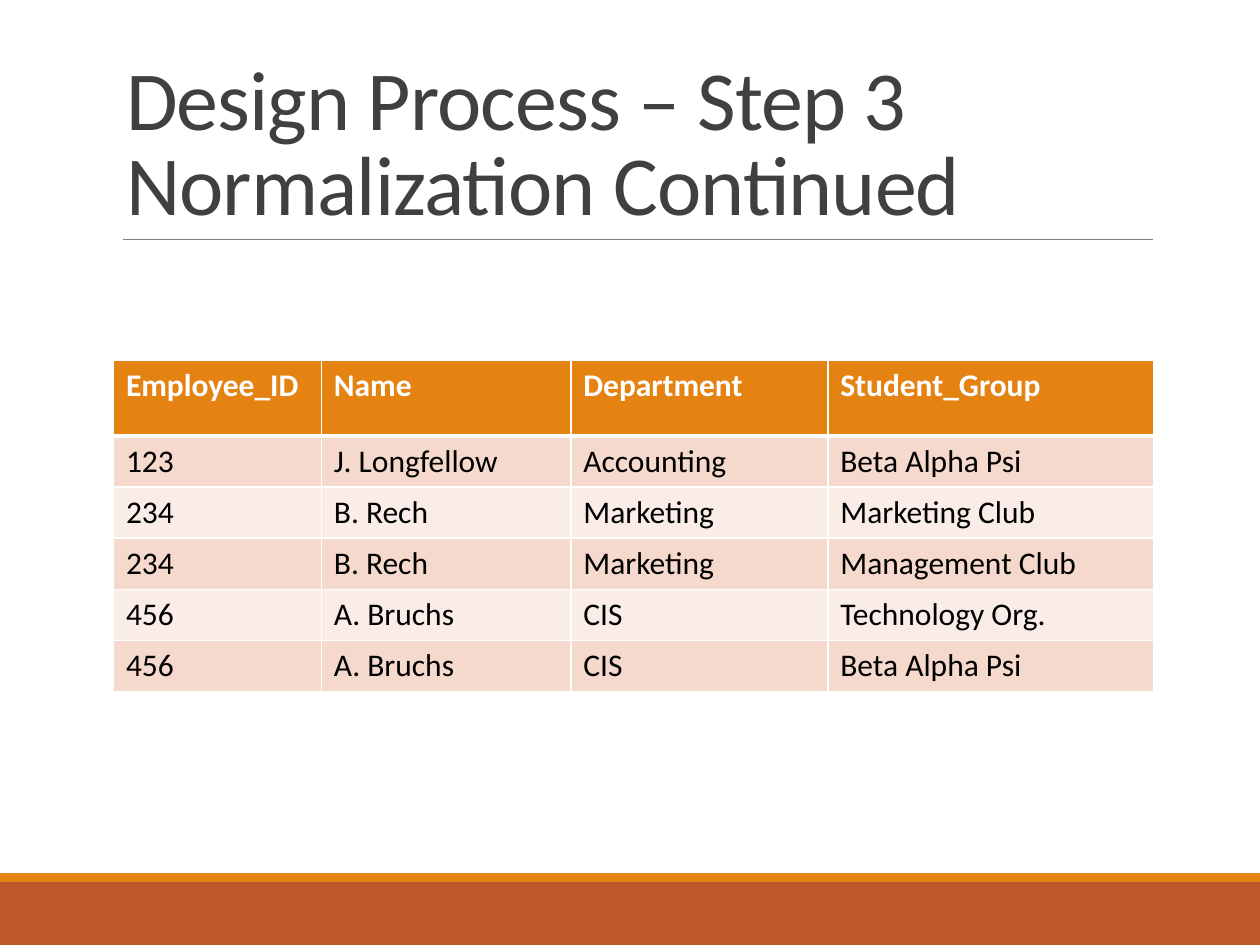
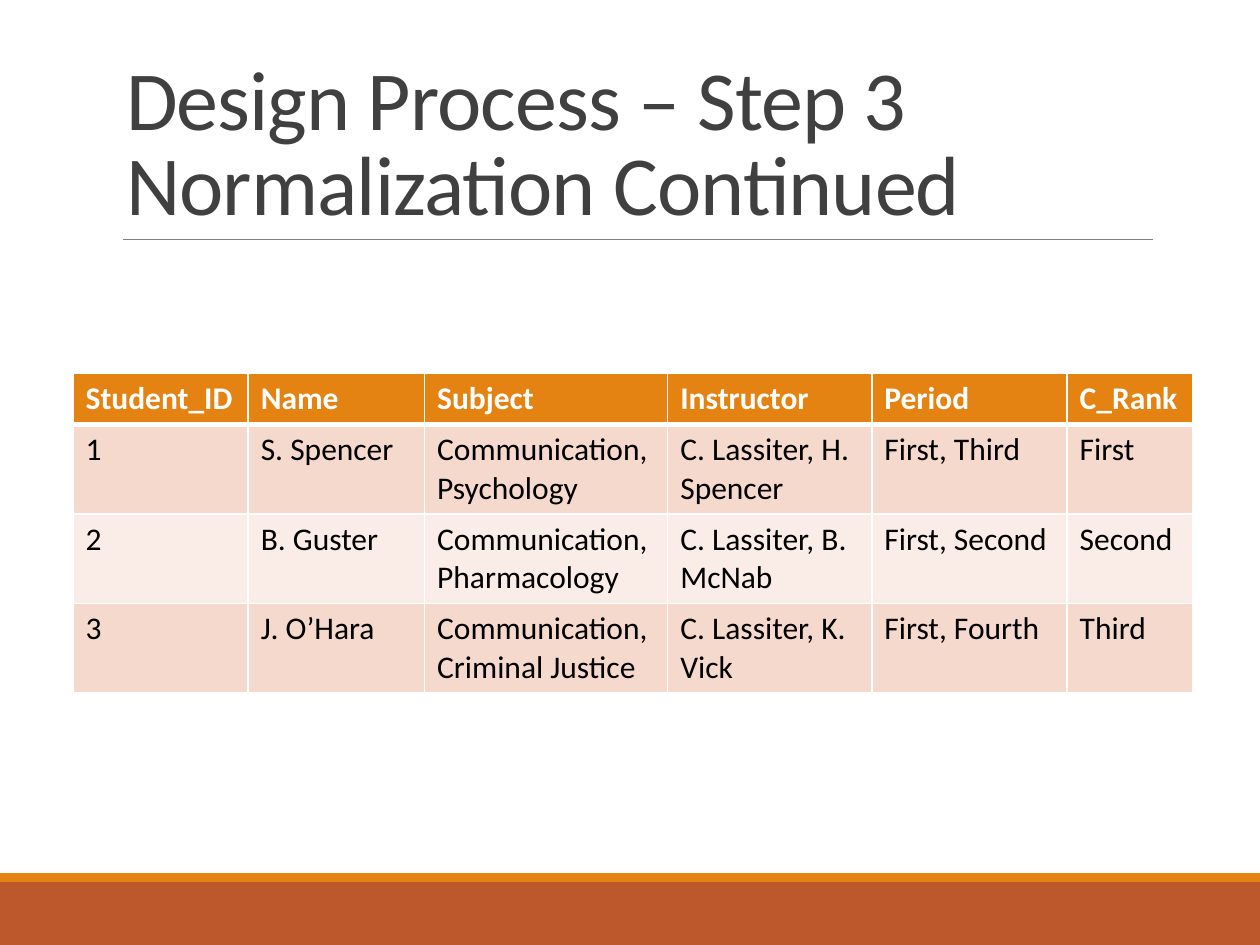
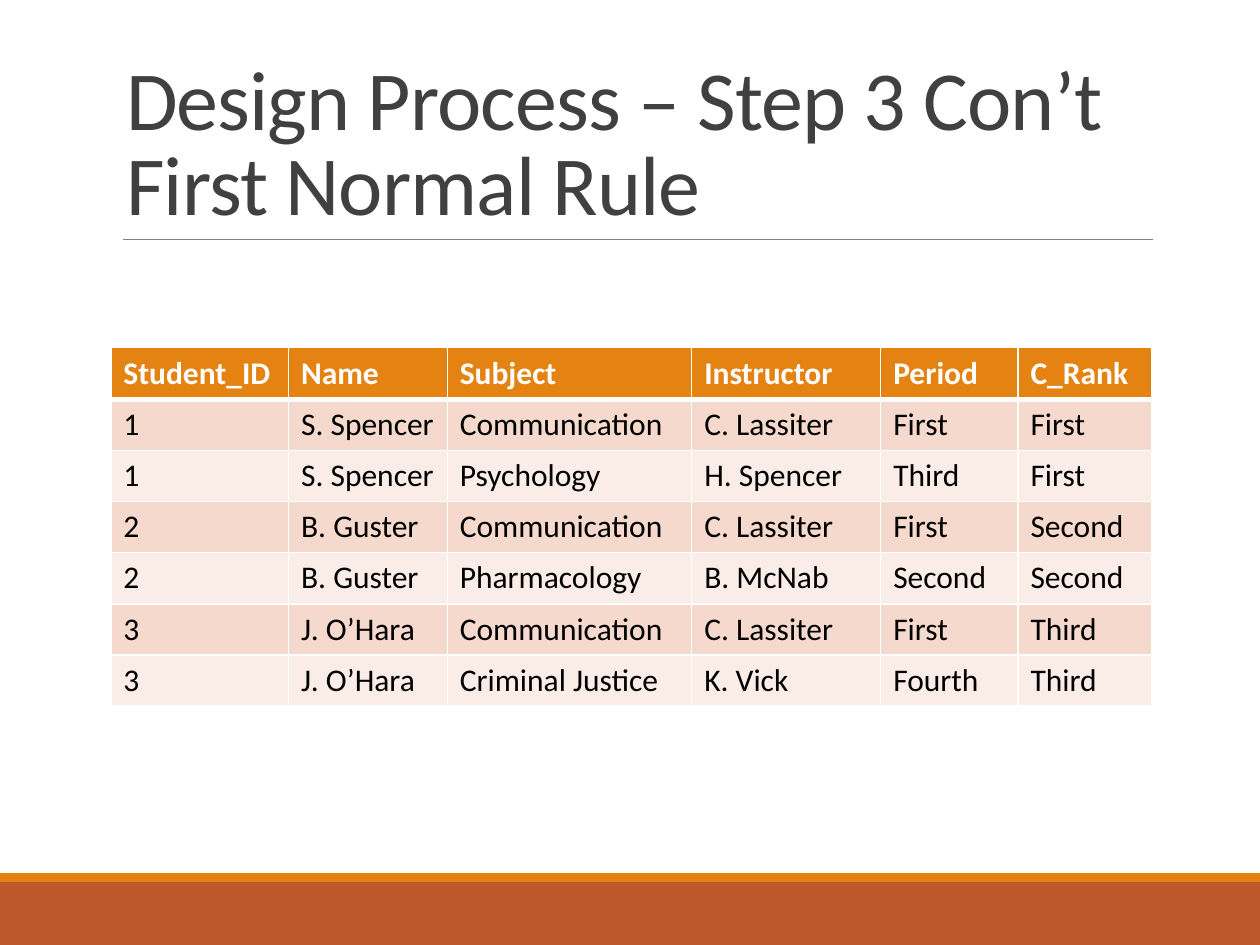
import dataclasses

import pptx
import pptx.dml.color
import pptx.enum.shapes
import pptx.enum.text
import pptx.oxml.ns
import pptx.presentation
import pptx.shapes.autoshape
import pptx.slide
import pptx.table
import pptx.text.text
import pptx.util
from lxml import etree

# The page is a grid of square cells, 100 columns by 75 rows.
COLUMNS, ROWS = 100, 75
CELL = pptx.util.Inches(0.1)
TITLE_ONLY = 5


@dataclasses.dataclass(frozen=True)
class Theme:
    font: str = "Calibri"
    title_size: float = 48
    title_spacing: float = -0.5
    title_leading: float = 0.85
    table_size: float = 18
    title: str = "404040"
    text: str = "000000"
    paper: str = "FFFFFF"
    rule: str = "808080"
    accent: str = "E48312"
    footer: str = "BD582C"
    stripes: tuple[str, str] = ("F5D9CC", "FAEDE7")
    rule_width: float = 0.5
    border: float = 1
    header_border: float = 3


@dataclasses.dataclass(frozen=True)
class Area:
    """A rectangle in grid cells."""
    left: float
    top: float
    width: float
    height: float

    def lengths(self) -> tuple[int, int, int, int]:
        return cells(self.left), cells(self.top), cells(self.width), cells(self.height)


@dataclasses.dataclass(frozen=True)
class Band:
    area: Area
    color: str


@dataclasses.dataclass(frozen=True)
class TablePage:
    title: str
    area: Area
    header_height: float
    widths: tuple[float, ...]
    records: tuple[tuple[str, ...], ...]


THEME = Theme()
TITLE_AREA = Area(9, 3.1, 82.5, 15.9)
RULE_LEFT, RULE_RIGHT, RULE_TOP = 9.8, 91.5, 19
BANDS = (
    Band(Area(0, 70, COLUMNS, 5), THEME.footer),
    Band(Area(0, 69.3, COLUMNS, 0.7), THEME.accent),
)
STUDENT_HEADER = ("Student_ID", "Name", "Subject", "Instructor", "Period", "C_Rank")

PAGES = (
    TablePage(
        "Design Process – Step 3 Normalization Continued",
        Area(9, 28.6, 82.5, 26.3), 6, (16.5, 19.8, 20.4, 25.9),
        (
            ("Employee_ID", "Name", "Department", "Student_Group"),
            ("123", "J. Longfellow", "Accounting", "Beta Alpha Psi"),
            ("234", "B. Rech", "Marketing", "Marketing Club"),
            ("234", "B. Rech", "Marketing", "Management Club"),
            ("456", "A. Bruchs", "CIS", "Technology Org."),
            ("456", "A. Bruchs", "CIS", "Beta Alpha Psi"),
        ),
    ),
    TablePage(
        "Design Process – Step 3 Normalization Continued",
        Area(5.8, 29.6, 88.8, 25.1), 4.1, (13.9, 14, 19.3, 16.2, 15.5, 10),
        (
            STUDENT_HEADER,
            ("1", "S. Spencer", "Communication, Psychology",
             "C. Lassiter, H. Spencer", "First, Third", "First"),
            ("2", "B. Guster", "Communication, Pharmacology",
             "C. Lassiter, B. McNab", "First, Second", "Second"),
            ("3", "J. O’Hara", "Communication, Criminal Justice",
             "C. Lassiter, K. Vick", "First, Fourth", "Third"),
        ),
    ),
    TablePage(
        "Design Process – Step 3 Con’t First Normal Rule",
        Area(8.8, 27.6, 82.5, 28.4), 4.1, (14.1, 12.6, 19.4, 15, 10.9, 10.6),
        (
            STUDENT_HEADER,
            ("1", "S. Spencer", "Communication", "C. Lassiter", "First", "First"),
            ("1", "S. Spencer", "Psychology", "H. Spencer", "Third", "First"),
            ("2", "B. Guster", "Communication", "C. Lassiter", "First", "Second"),
            ("2", "B. Guster", "Pharmacology", "B. McNab", "Second", "Second"),
            ("3", "J. O’Hara", "Communication", "C. Lassiter", "First", "Third"),
            ("3", "J. O’Hara", "Criminal Justice", "K. Vick", "Fourth", "Third"),
        ),
    ),
)


def cells(count: float) -> int:
    """Turn a number of grid cells into a length."""
    return round(count * CELL)


def rgb(color: str) -> pptx.dml.color.RGBColor:
    return pptx.dml.color.RGBColor.from_string(color)


def add_span(para: pptx.text.text._Paragraph, text: str, size: float,
             color: str, bold: bool = False) -> pptx.text.text._Run:
    span = para.add_run()
    span.text = text
    span.font.name = THEME.font
    span.font.size = pptx.util.Pt(size)
    span.font.bold = bold
    span.font.color.rgb = rgb(color)
    return span


def add_bands(page: pptx.slide.Slide) -> None:
    for band in BANDS:
        box = page.shapes.add_shape(
            pptx.enum.shapes.MSO_SHAPE.RECTANGLE, *band.area.lengths())
        box.shadow.inherit = False
        box.fill.solid()
        box.fill.fore_color.rgb = rgb(band.color)
        box.line.fill.background()


def add_title_rule(page: pptx.slide.Slide) -> None:
    rule = page.shapes.add_connector(
        pptx.enum.shapes.MSO_CONNECTOR.STRAIGHT,
        cells(RULE_LEFT), cells(RULE_TOP), cells(RULE_RIGHT), cells(RULE_TOP))
    rule.line.color.rgb = rgb(THEME.rule)
    rule.line.width = pptx.util.Pt(THEME.rule_width)
    etree.SubElement(rule._element.spPr, pptx.oxml.ns.qn("a:effectLst"))


def set_title(page: pptx.slide.Slide, text: str) -> None:
    box = page.shapes.title
    box.left, box.top, box.width, box.height = TITLE_AREA.lengths()
    frame = box.text_frame
    frame.word_wrap = True
    frame.auto_size = pptx.enum.text.MSO_AUTO_SIZE.NONE
    frame.vertical_anchor = pptx.enum.text.MSO_ANCHOR.BOTTOM
    para = frame.paragraphs[0]
    para.alignment = pptx.enum.text.PP_ALIGN.LEFT
    para.line_spacing = THEME.title_leading
    span = add_span(para, text, THEME.title_size, THEME.title)
    span.font._element.set("spc", str(round(THEME.title_spacing * 100)))


def set_borders(cell: pptx.table._Cell, top: float, bottom: float) -> None:
    properties = cell._tc.get_or_add_tcPr()
    widths = {"lnL": THEME.border, "lnR": THEME.border, "lnT": top, "lnB": bottom}
    for side, width in widths.items():
        line = etree.SubElement(properties, pptx.oxml.ns.qn(f"a:{side}"),
                                w=str(pptx.util.Pt(width)))
        fill = etree.SubElement(line, pptx.oxml.ns.qn("a:solidFill"))
        etree.SubElement(fill, pptx.oxml.ns.qn("a:srgbClr"), val=THEME.paper)


def fill_cell(cell: pptx.table._Cell, text: str, row: int) -> None:
    header = row == 0
    # The fill must follow the borders in the cell's properties.
    set_borders(cell,
                top=THEME.header_border if row == 1 else THEME.border,
                bottom=THEME.header_border if header else THEME.border)
    cell.fill.solid()
    cell.fill.fore_color.rgb = rgb(THEME.accent if header else THEME.stripes[(row - 1) % 2])
    add_span(cell.text_frame.paragraphs[0], text, THEME.table_size,
             THEME.paper if header else THEME.text, bold=header)


def add_records(page: pptx.slide.Slide, content: TablePage) -> None:
    """Draw the table; the body rows share the height below the header."""
    records = content.records
    table = page.shapes.add_table(
        len(records), len(content.widths), *content.area.lengths()).table
    table.horz_banding = False
    for column, width in zip(table.columns, content.widths):
        column.width = cells(width)
    body_height = (content.area.height - content.header_height) / (len(records) - 1)
    for row, record in enumerate(records):
        table.rows[row].height = cells(body_height if row else content.header_height)
        for column, text in enumerate(record):
            fill_cell(table.cell(row, column), text, row)


def add_page(deck: pptx.presentation.Presentation, content: TablePage) -> None:
    page = deck.slides.add_slide(deck.slide_layouts[TITLE_ONLY])
    add_bands(page)
    add_title_rule(page)
    set_title(page, content.title)
    add_records(page, content)


def main() -> None:
    deck = pptx.Presentation()
    deck.slide_width, deck.slide_height = cells(COLUMNS), cells(ROWS)
    for content in PAGES:
        add_page(deck, content)
    deck.save("out.pptx")


if __name__ == "__main__":
    main()
